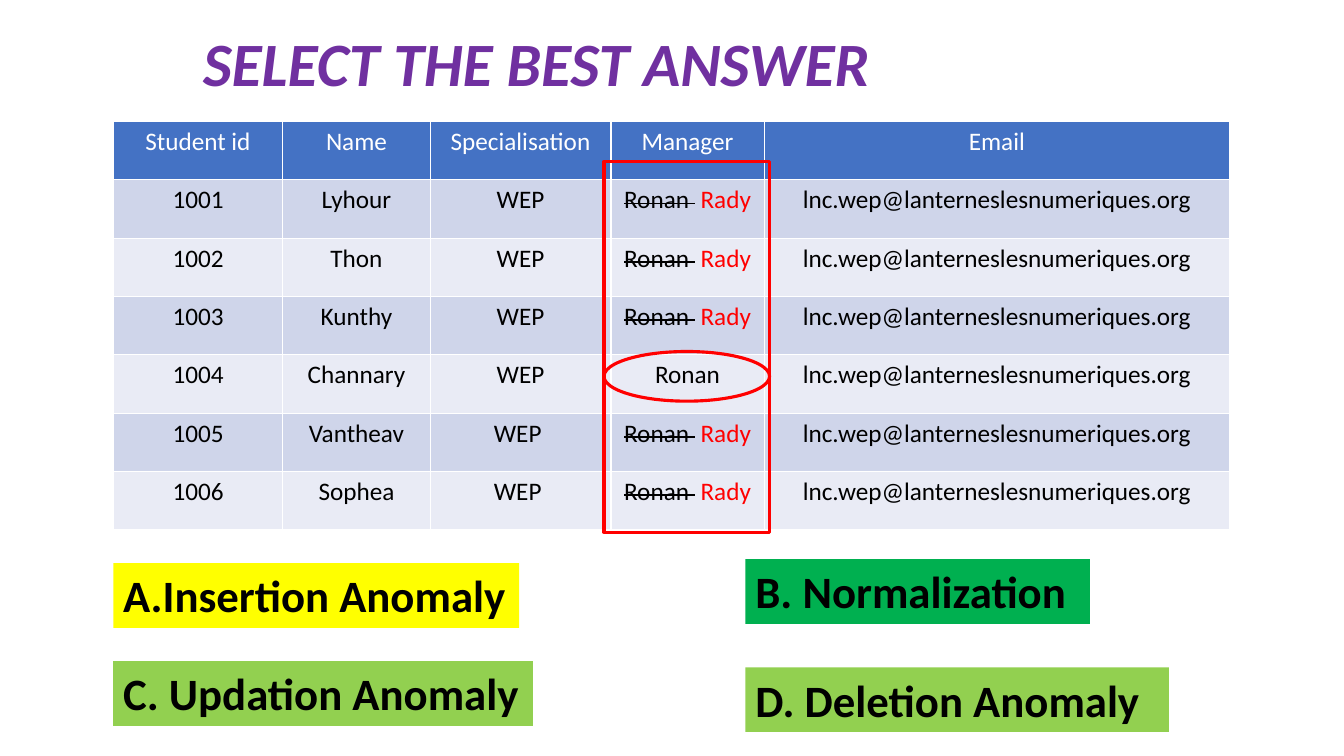
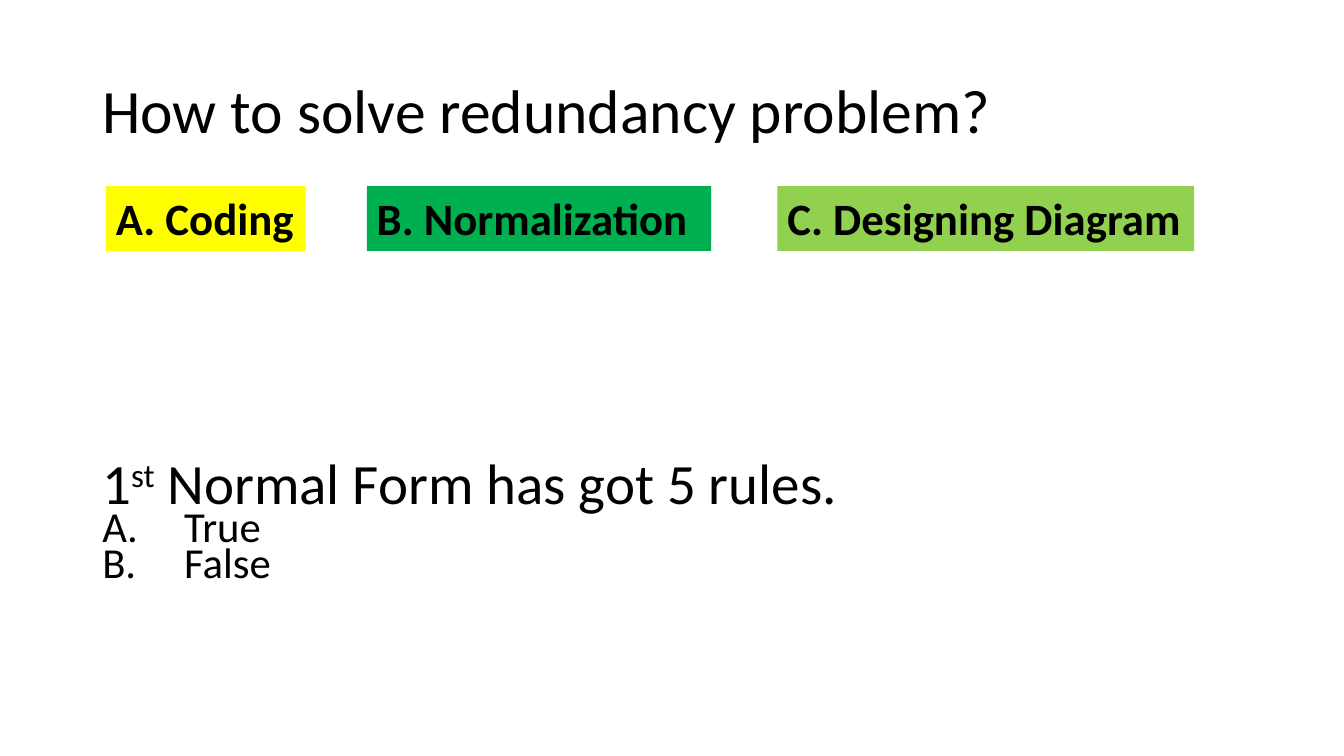
from lxml import etree
from pptx import Presentation
from pptx.dml.color import RGBColor
from pptx.enum import shapes, text
from pptx.oxml import ns
from pptx.util import Pt

# Shared look
FONT = "Calibri"
BLACK = RGBColor(0x00, 0x00, 0x00)
WHITE = RGBColor(0xFF, 0xFF, 0xFF)
PURPLE = RGBColor(0x70, 0x30, 0xA0)
RED = RGBColor(0xFF, 0x00, 0x00)
YELLOW = RGBColor(0xFF, 0xFF, 0x00)
GREEN = RGBColor(0x00, 0xB0, 0x50)
LIME = RGBColor(0x92, 0xD0, 0x50)
HEADER_BLUE = RGBColor(0x44, 0x72, 0xC4)
BAND_DARK = RGBColor(0xCF, 0xD5, 0xEA)
BAND_LIGHT = RGBColor(0xE9, 0xEB, 0xF5)

BLOCK_LEFT, BLOCK_WIDTH, BLOCK_HEIGHT = 66, 828, 104.4
ANSWER_HEIGHT = 46.2

# Student table
TABLE_LEFT, TABLE_TOP, ROW_HEIGHT = 80.9, 86.7, 41.7
COLUMN_WIDTHS = (121.1, 105.3, 129.1, 109.5, 332.4)
HEADINGS = ("Student id", "Name", "Specialisation", "Manager", "Email")
EMAIL = "lnc.wep@lanterneslesnumeriques.org"
STUDENTS = (
    ("1001", "Lyhour", "WEP", True),
    ("1002", "Thon", "WEP", True),
    ("1003", "Kunthy", "WEP", True),
    ("1004", "Channary", "WEP", False),
    ("1005", "Vantheav", "WEP ", True),
    ("1006", "Sophea", "WEP ", True),
)


def add_run(paragraph, words, size, color=BLACK, bold=False, italic=False, **attributes):
    """Add one run; attributes such as strike or baseline go on its properties."""
    run = paragraph.add_run()
    run.text = words
    font = run.font
    font.name, font.size, font.bold, font.italic = FONT, Pt(size), bold, italic
    font.color.rgb = color
    for name, value in attributes.items():
        run._r.get_or_add_rPr().set(name, value)


def set_indent(paragraph, left, first=0):
    properties = paragraph._p.get_or_add_pPr()
    properties.set("marL", str(Pt(left)))
    properties.set("indent", str(Pt(first)))


def letter_paragraph(paragraph, hang):
    """Number a paragraph A., B., ... with a hanging indent."""
    set_indent(paragraph, hang, -hang)
    properties = paragraph._p.get_or_add_pPr()
    etree.SubElement(properties, ns.qn("a:buFont"), typeface="+mj-lt")
    etree.SubElement(properties, ns.qn("a:buAutoNum"), type="alphaUcPeriod")


def add_block(slide, top):
    """Full-width, vertically centred text block."""
    block = slide.shapes.add_textbox(Pt(BLOCK_LEFT), Pt(top), Pt(BLOCK_WIDTH), Pt(BLOCK_HEIGHT))
    frame = block.text_frame
    frame.word_wrap = True
    frame.vertical_anchor = text.MSO_ANCHOR.MIDDLE
    return frame


def add_title(slide, words, top, indent=0, **style):
    paragraph = add_block(slide, top).paragraphs[0]
    paragraph.line_spacing = 0.9
    set_indent(paragraph, indent)
    add_run(paragraph, words, 44, **style)


def add_answer(slide, words, left, top, width, fill, lettered=False):
    box = slide.shapes.add_textbox(Pt(left), Pt(top), Pt(width), Pt(ANSWER_HEIGHT))
    box.fill.solid()
    box.fill.fore_color.rgb = fill
    frame = box.text_frame
    frame.word_wrap = True
    frame.margin_right = 0
    paragraph = frame.paragraphs[0]
    if lettered:
        letter_paragraph(paragraph, 27)
    add_run(paragraph, words, 32, bold=True)


def add_outline(slide, kind, left, top, width, height):
    outline = slide.shapes.add_shape(kind, Pt(left), Pt(top), Pt(width), Pt(height))
    outline.shadow.inherit = False
    outline.fill.background()
    outline.line.color.rgb = RED
    outline.line.width = Pt(2.25)


def add_borders(cell):
    properties = cell._tc.get_or_add_tcPr()
    for position, side in enumerate(("a:lnL", "a:lnR", "a:lnT", "a:lnB")):
        line = etree.Element(ns.qn(side), w=str(Pt(1)))
        fill = etree.SubElement(line, ns.qn("a:solidFill"))
        etree.SubElement(fill, ns.qn("a:srgbClr"), val=str(WHITE))
        properties.insert(position, line)


def fill_cell(cell, runs, fill):
    """Runs are (words, colour, extra attributes)."""
    cell.fill.solid()
    cell.fill.fore_color.rgb = fill
    add_borders(cell)
    paragraph = cell.text_frame.paragraphs[0]
    paragraph.alignment = text.PP_ALIGN.CENTER
    for words, color, attributes in runs:
        add_run(paragraph, words, 18, color, **attributes)


def manager_runs(replaced):
    if not replaced:
        return [("Ronan", BLACK, {})]
    return [("Ronan ", BLACK, {"strike": "sngStrike"}), (" ", BLACK, {}), ("Rady", RED, {})]


def add_student_table(slide):
    row_count = len(STUDENTS) + 1
    table = slide.shapes.add_table(
        row_count, len(HEADINGS), Pt(TABLE_LEFT), Pt(TABLE_TOP),
        Pt(sum(COLUMN_WIDTHS)), Pt(ROW_HEIGHT * row_count)).table
    for column, width in zip(table.columns, COLUMN_WIDTHS):
        column.width = Pt(width)
    for row in table.rows:
        row.height = Pt(ROW_HEIGHT)
    for column, heading in enumerate(HEADINGS):
        fill_cell(table.cell(0, column), [(heading, WHITE, {})], HEADER_BLUE)
    for row, (*details, replaced) in enumerate(STUDENTS, 1):
        plain = [[(words, BLACK, {})] for words in details]
        cells = plain + [manager_runs(replaced), [(EMAIL, BLACK, {})]]
        for column, runs in enumerate(cells):
            fill_cell(table.cell(row, column), runs, BAND_DARK if row % 2 else BAND_LIGHT)


def add_true_false(slide):
    frame = add_block(slide, 323.3)
    statement = frame.paragraphs[0]
    add_run(statement, "1", 40.7)
    add_run(statement, "st", 40.7, baseline="30000")
    add_run(statement, " Normal Form has got 5 rules.", 40.7)
    for choice in ("True", "False"):
        paragraph = frame.add_paragraph()
        letter_paragraph(paragraph, 58.5)
        add_run(paragraph, choice, 30.5)
    for paragraph in frame.paragraphs:
        paragraph.line_spacing = 0.7


def build_anomaly_slide(slide):
    add_title(slide, "SELECT THE BEST ANSWER", -4.5, indent=72,
              color=PURPLE, bold=True, italic=True)
    left, right = 80.9, 532.5
    add_answer(slide, "Insertion Anomaly", left, 402.3, 290, YELLOW, lettered=True)
    add_answer(slide, "B. Normalization", right, 399.4, 246, GREEN)
    add_answer(slide, "C. Updation Anomaly", left, 472.3, 299.8, LIME)
    add_answer(slide, "D. Deletion Anomaly", right, 476.7, 302.4, LIME)
    add_student_table(slide)
    # Marks on the manager column and the row left unchanged
    add_outline(slide, shapes.MSO_SHAPE.RECTANGLE, 431.4, 115.2, 118.3, 265)
    add_outline(slide, shapes.MSO_SHAPE.OVAL, 431.4, 251.1, 118.3, 35.5)


def build_redundancy_slide(slide):
    add_title(slide, "How to solve redundancy problem?", 28.8)
    top = 133
    add_answer(slide, " Coding", 75.7, top, 142.6, YELLOW, lettered=True)
    add_answer(slide, "B. Normalization", 262, top, 246, GREEN)
    add_answer(slide, "C. Designing Diagram", 555.3, top, 297.7, LIME)
    add_true_false(slide)


def main():
    deck = Presentation()
    deck.slide_width, deck.slide_height = Pt(960), Pt(540)
    blank = deck.slide_layouts[6]
    for build in (build_anomaly_slide, build_redundancy_slide):
        build(deck.slides.add_slide(blank))
    deck.save("out.pptx")


if __name__ == "__main__":
    main()
